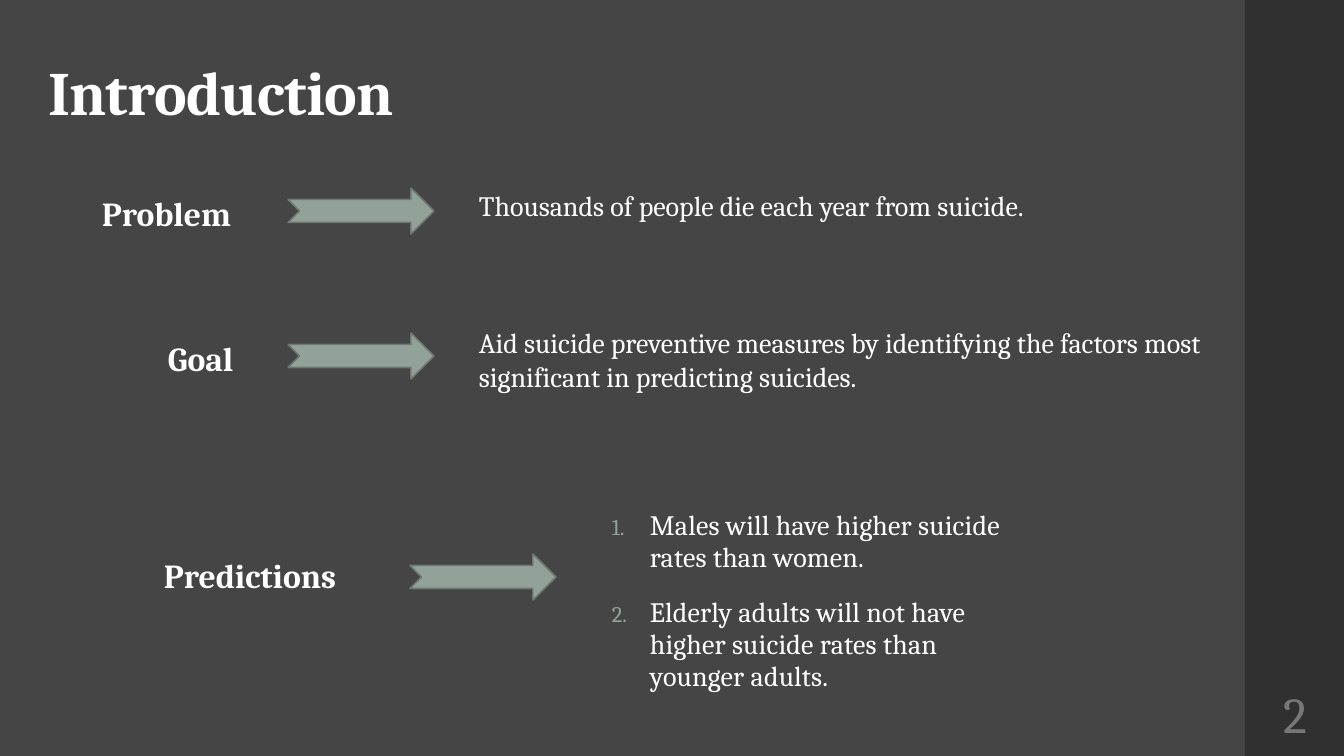
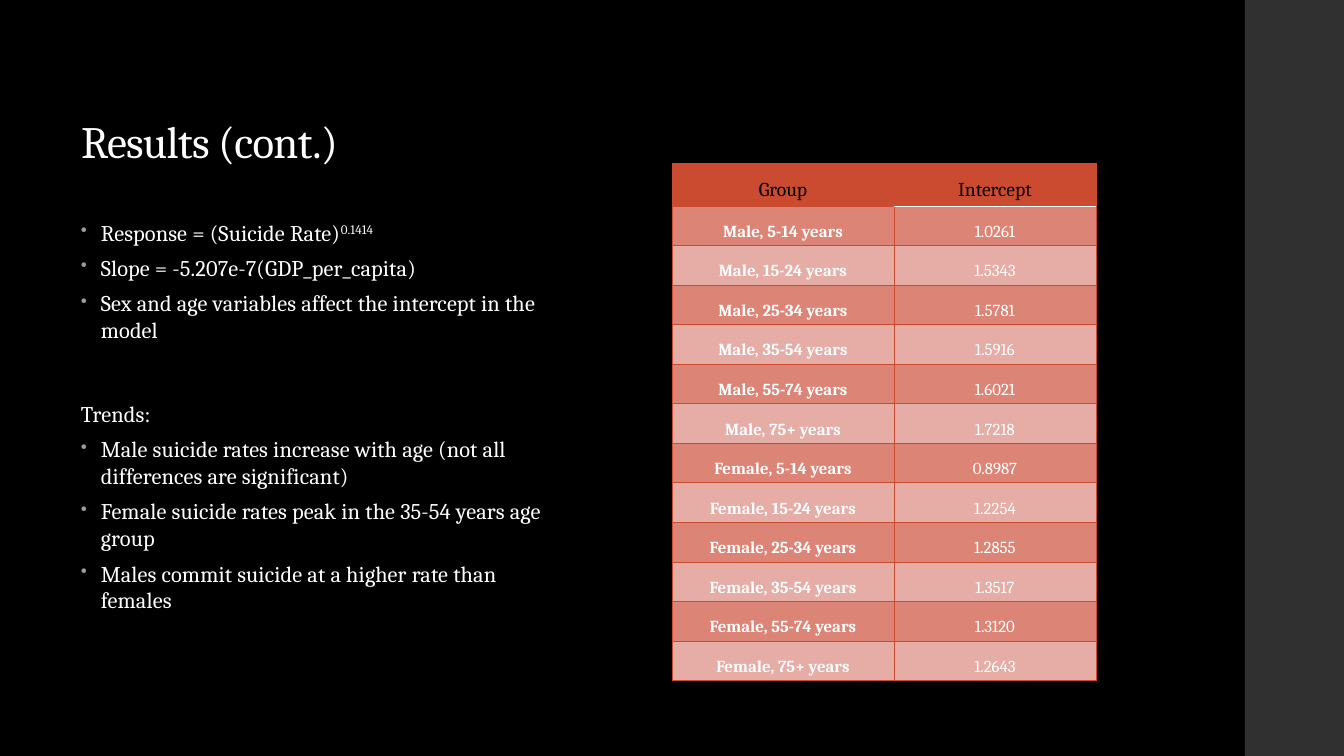
from lxml.etree import SubElement
from pptx import Presentation
from pptx.dml.color import RGBColor
from pptx.enum.shapes import MSO_SHAPE
from pptx.enum.text import MSO_ANCHOR, MSO_AUTO_SIZE, PP_ALIGN
from pptx.oxml.ns import qn
from pptx.util import Emu, Pt

FONT = "Cambria"
WHITE = RGBColor(0xFF, 0xFF, 0xFF)
BLACK = RGBColor(0x00, 0x00, 0x00)
CHARCOAL = RGBColor(0x45, 0x45, 0x45)
BAND = RGBColor(0x30, 0x30, 0x30)
NUMBER_GREY = RGBColor(0x77, 0x77, 0x77)
SAGE = RGBColor(0x93, 0xA2, 0x99)
SAGE_DARK = RGBColor(0x6D, 0x78, 0x71)
RUST = RGBColor(0xCB, 0x4B, 0x30)
ROSE = RGBColor(0xDC, 0x85, 0x77)
ROSE_LIGHT = RGBColor(0xE6, 0xAC, 0xA6)

SLIDE_SIZE = (1344, 756)
BAND_BOX = (1245, 0, 99, 756)
NUMBER_BOX = (1245, 680, 100, 66)
ARROW_SIZE = (146, 46)

# label, label box, arrow corner
TOPICS = [
    ("Problem", (92, 188, 190, 85), (288, 188)),
    ("Goal", (158, 333, 190, 85), (288, 333)),
    ("Predictions", (154, 550, 255, 82), (410, 554)),
]
STATEMENTS = [
    ("Thousands of people die each year from suicide.", (469, 184, 675, 44)),
    ("Aid suicide preventive measures by identifying the factors most "
     "significant in predicting suicides.", (469, 321, 770, 78)),
]
PREDICTIONS = [
    "Males will have higher suicide rates than women.",
    "Elderly adults will not have higher suicide rates than younger adults.",
]
PREDICTIONS_BOX = (602, 457, 435, 289)

EXPONENT = "0.1414"
TRENDS_HEADING = "Trends:"
FINDINGS = [
    "Response = (Suicide Rate)",
    "Slope = -5.207e-7(GDP_per_capita)",
    "Sex and age variables affect the intercept in the model",
    TRENDS_HEADING,
    "Male suicide rates increase with age (not all differences are significant)",
    "Female suicide rates peak in the 35-54 years age group",
    "Males commit suicide at a higher rate than females",
]
FINDINGS_BOX = (71, 214, 504, 468)

TABLE_HEADER = ("Group", "Intercept")
AGES = ["5-14", "15-24", "25-34", "35-54", "55-74", "75+"]
INTERCEPTS = {
    "Male": ["1.0261", "1.5343", "1.5781", "1.5916", "1.6021", "1.7218"],
    "Female": ["0.8987", "1.2254", "1.2855", "1.3517", "1.3120", "1.2643"],
}
TABLE_BOX = (672, 163, 424, 518)
COLUMN_WIDTHS = (222, 202)
HEADER_HEIGHT = 43


def px(length):
    return Emu(round(length * 914400 / 100.8))


def box(*lengths):
    return [px(length) for length in lengths]


def style_run(run, size, color=WHITE, bold=False, tracking=0):
    """Format a run; tracking is in hundredths of a point."""
    font = run.font
    font.name, font.size, font.bold = FONT, Pt(size), bold
    font.color.rgb = color
    if tracking:
        run._r.get_or_add_rPr().set("spc", str(tracking))


def add_text(slide, place, lines, size, anchor=MSO_ANCHOR.TOP, **style):
    """Add a wrapping text box with one paragraph a line and return its paragraphs."""
    text_frame = slide.shapes.add_textbox(*box(*place)).text_frame
    text_frame.word_wrap = True
    text_frame.vertical_anchor = anchor
    text_frame.text = "\n".join(lines)
    for paragraph in text_frame.paragraphs:
        style_run(paragraph.runs[0], size, **style)
    return text_frame.paragraphs


def add_bullet(paragraph, indent, tag, **attributes):
    properties = paragraph._p.get_or_add_pPr()
    properties.set("marL", str(px(indent)))
    properties.set("indent", str(-px(indent)))
    color = SubElement(properties, qn("a:buClr"))
    SubElement(color, qn("a:srgbClr"), val=str(SAGE))
    SubElement(properties, qn("a:buSzPct"), val="80000")
    SubElement(properties, qn(tag), **attributes)


def add_filled_shape(slide, kind, place, fill):
    shape = slide.shapes.add_shape(kind, *box(*place))
    shape.shadow.inherit = False
    shape.fill.solid()
    shape.fill.fore_color.rgb = fill
    shape.line.fill.background()
    return shape


def add_slide(presentation, background, title, title_box, title_size, bold=False):
    slide = presentation.slides.add_slide(presentation.slide_layouts[5])
    slide.background.fill.solid()
    slide.background.fill.fore_color.rgb = background
    add_filled_shape(slide, MSO_SHAPE.RECTANGLE, BAND_BOX, BAND)
    shape = slide.shapes.title
    shape.left, shape.top, shape.width, shape.height = box(*title_box)
    text_frame = shape.text_frame
    text_frame.text = title
    text_frame.word_wrap = True
    text_frame.auto_size = MSO_AUTO_SIZE.NONE
    text_frame.vertical_anchor = MSO_ANCHOR.MIDDLE
    paragraph = text_frame.paragraphs[0]
    paragraph.alignment = PP_ALIGN.LEFT
    paragraph.line_spacing = 0.9
    style_run(paragraph.runs[0], title_size, bold=bold, tracking=-50)
    return slide


def set_borders(cell, colors):
    """Draw the cell's borders from a dict of side (L, R, T, B) to colour."""
    properties = cell._tc.get_or_add_tcPr()
    for side, color in colors.items():
        line = SubElement(properties, qn(f"a:ln{side}"), w=str(Pt(0.75)))
        fill = SubElement(line, qn("a:solidFill"))
        SubElement(fill, qn("a:srgbClr"), val=str(color))


def add_intercept_table(slide):
    rows = [TABLE_HEADER] + [
        (f"{sex}, {age} years", value)
        for sex, values in INTERCEPTS.items()
        for age, value in zip(AGES, values)
    ]
    table = slide.shapes.add_table(len(rows), len(TABLE_HEADER), *box(*TABLE_BOX)).table
    table.first_row = table.horz_banding = False
    for column, width in zip(table.columns, COLUMN_WIDTHS):
        column.width = px(width)
    row_height = (TABLE_BOX[3] - HEADER_HEIGHT) / (len(rows) - 1)
    for i, texts in enumerate(rows):
        is_header = i == 0
        table.rows[i].height = px(HEADER_HEIGHT if is_header else row_height)
        for j, text in enumerate(texts):
            cell = table.cell(i, j)
            borders = dict.fromkeys("LRTB", RUST)
            if j == 1 and i < 2:
                borders["B" if is_header else "T"] = WHITE
            set_borders(cell, borders)
            cell.fill.solid()
            cell.fill.fore_color.rgb = RUST if is_header else (ROSE_LIGHT, ROSE)[i % 2]
            cell.margin_left = cell.margin_right = px(10)
            cell.margin_top, cell.margin_bottom = px(12), 0
            cell.vertical_anchor = MSO_ANCHOR.MIDDLE
            cell.text_frame.text = text
            paragraph = cell.text_frame.paragraphs[0]
            paragraph.alignment = PP_ALIGN.CENTER
            style_run(paragraph.runs[0], 14 if is_header else 12,
                      BLACK if is_header else WHITE, bold=not is_header and j == 0)


def build_introduction(presentation):
    slide = add_slide(presentation, CHARCOAL, "Introduction", (38, 14, 487, 163), 44, bold=True)
    number = add_text(slide, NUMBER_BOX, ["2"], 36, MSO_ANCHOR.MIDDLE, color=NUMBER_GREY)
    number[0].alignment = PP_ALIGN.CENTER
    for label, label_box, arrow_corner in TOPICS:
        add_text(slide, label_box, [label], 24, bold=True)
        arrow = add_filled_shape(slide, MSO_SHAPE.NOTCHED_RIGHT_ARROW,
                                 arrow_corner + ARROW_SIZE, SAGE)
        arrow.line.color.rgb = SAGE_DARK
        arrow.line.width = Pt(1.1)
    for statement, place in STATEMENTS:
        add_text(slide, place, [statement], 20)
    paragraphs = add_text(slide, PREDICTIONS_BOX, PREDICTIONS, 20,
                          MSO_ANCHOR.MIDDLE, tracking=10)
    for i, paragraph in enumerate(paragraphs):
        add_bullet(paragraph, 38, "a:buAutoNum", type="arabicPeriod")
        paragraph.line_spacing = 0.95
        paragraph.space_before = Pt(14 if i else 0)
        paragraph.space_after = Pt(2)


def build_results(presentation):
    slide = add_slide(presentation, BLACK, "Results (cont.)", (71, 71, 407, 146), 32)
    paragraphs = add_text(slide, FINDINGS_BOX, FINDINGS, 16, tracking=10)
    for paragraph in paragraphs:
        if paragraph.text == TRENDS_HEADING:
            paragraph.line_spacing = 1.5
            paragraph.space_before = Pt(25)
        else:
            add_bullet(paragraph, 20, "a:buChar", char="•")
        paragraph.space_after = Pt(6)
    exponent = paragraphs[0].add_run()
    exponent.text = EXPONENT
    style_run(exponent, 16, tracking=10)
    exponent._r.get_or_add_rPr().set("baseline", "30000")
    add_intercept_table(slide)


def main():
    presentation = Presentation()
    presentation.slide_width, presentation.slide_height = box(*SLIDE_SIZE)
    build_introduction(presentation)
    build_results(presentation)
    presentation.save("out.pptx")


if __name__ == "__main__":
    main()
